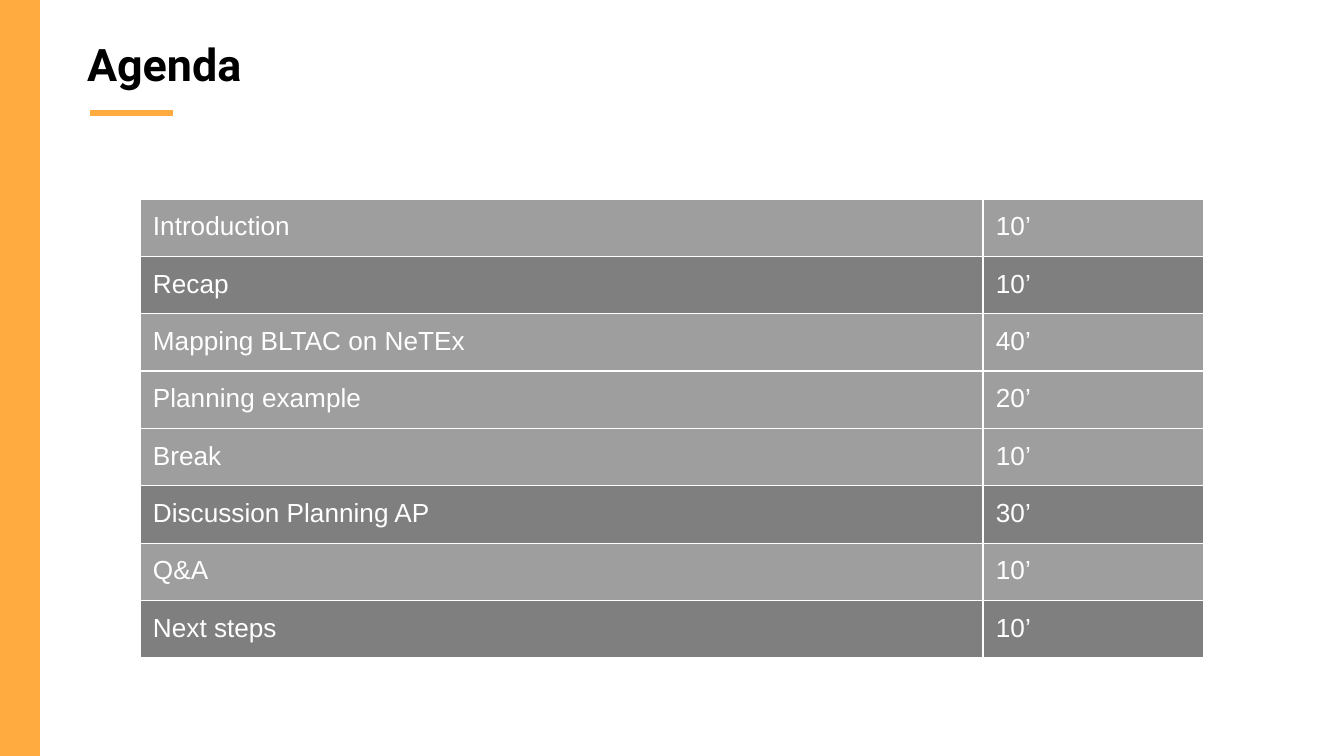
from lxml.etree import SubElement
from pptx import Presentation
from pptx.dml.color import RGBColor
from pptx.enum.shapes import MSO_CONNECTOR, MSO_SHAPE
from pptx.oxml.ns import qn
from pptx.util import Inches, Pt

PX = Inches(10) / 1344
ORANGE, WHITE, LIGHT_GRAY, DARK_GRAY = "FFAB40", "FFFFFF", "9E9E9E", "7F7F7F"
INSET = 13
ROW_HEIGHT = 56
COLUMN_WIDTHS = [843, 221]
AGENDA = [
    ("Introduction", "10’", LIGHT_GRAY),
    ("Recap", "10’", DARK_GRAY),
    ("Mapping BLTAC on NeTEx", "40’", LIGHT_GRAY),
    ("Planning example", "20’", LIGHT_GRAY),
    ("Break", "10’", LIGHT_GRAY),
    ("Discussion Planning AP", "30’", DARK_GRAY),
    ("Q&A", "10’", LIGHT_GRAY),
    ("Next steps", "10’", DARK_GRAY),
]


def px(*lengths):
    """Turn pixel lengths into a list of EMU values."""
    return [round(length * PX) for length in lengths]


def style(target, font_name, size, color, bold=False):
    """Set the insets and the run fonts of a text box or table cell."""
    holder = target.text_frame
    margins = target if hasattr(target, "margin_left") else holder
    margins.margin_left, margins.margin_right, margins.margin_top, margins.margin_bottom = px(*[INSET] * 4)
    for span in holder.paragraphs[0].runs:
        span.font.name = font_name
        span.font.size = Pt(size)
        span.font.bold = bold
        span.font.color.rgb = RGBColor.from_string(color)


deck = Presentation()
deck.slide_width, deck.slide_height = px(1344, 756)
page = deck.slides.add_slide(deck.slide_layouts[6])

title = page.shapes.add_textbox(*px(74, 24, 1042, 65))
title.text_frame.word_wrap = True
title.text_frame.text = "Agenda"
style(title, "Roboto", 24, "000000", bold=True)

underline = page.shapes.add_connector(MSO_CONNECTOR.STRAIGHT, *px(90, 113, 173, 113))
underline.line.color.rgb = RGBColor.from_string(ORANGE)
underline.line.width = Pt(3)
SubElement(underline._element.spPr, qn("a:effectLst"))

frame = page.shapes.add_table(
    len(AGENDA), 2, *px(140, 199, sum(COLUMN_WIDTHS), ROW_HEIGHT * len(AGENDA))
)
table = frame.table
table.first_row = False
table.horz_banding = False
for column, width in zip(table.columns, px(*COLUMN_WIDTHS)):
    column.width = width

for row, (topic, minutes, fill_color) in zip(table.rows, AGENDA):
    row.height = px(ROW_HEIGHT)[0]
    for cell, text in zip(row.cells, (topic, minutes)):
        cell.text_frame.text = text
        style(cell, "Arial", 14, WHITE)
        properties = cell._tc.get_or_add_tcPr()
        for side in ("a:lnL", "a:lnR", "a:lnT", "a:lnB"):
            border = SubElement(properties, qn(side), w=str(Pt(0.75)))
            SubElement(SubElement(border, qn("a:solidFill")), qn("a:srgbClr"), val=WHITE)
        cell.fill.solid()
        cell.fill.fore_color.rgb = RGBColor.from_string(fill_color)

side_bar = page.shapes.add_shape(MSO_SHAPE.RECTANGLE, *px(0, 0, 40, 756))
side_bar.shadow.inherit = False
side_bar.fill.solid()
side_bar.fill.fore_color.rgb = RGBColor.from_string(ORANGE)
side_bar.line.fill.background()

deck.save("out.pptx")
